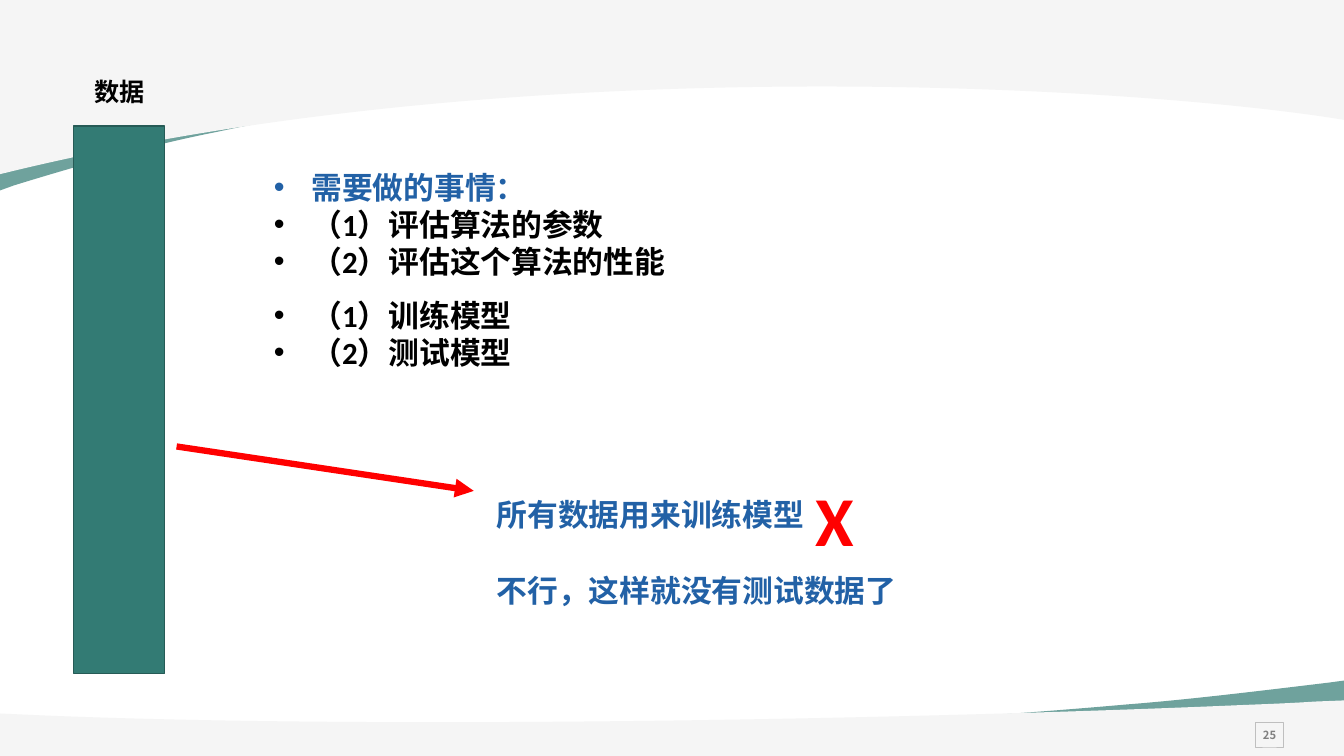
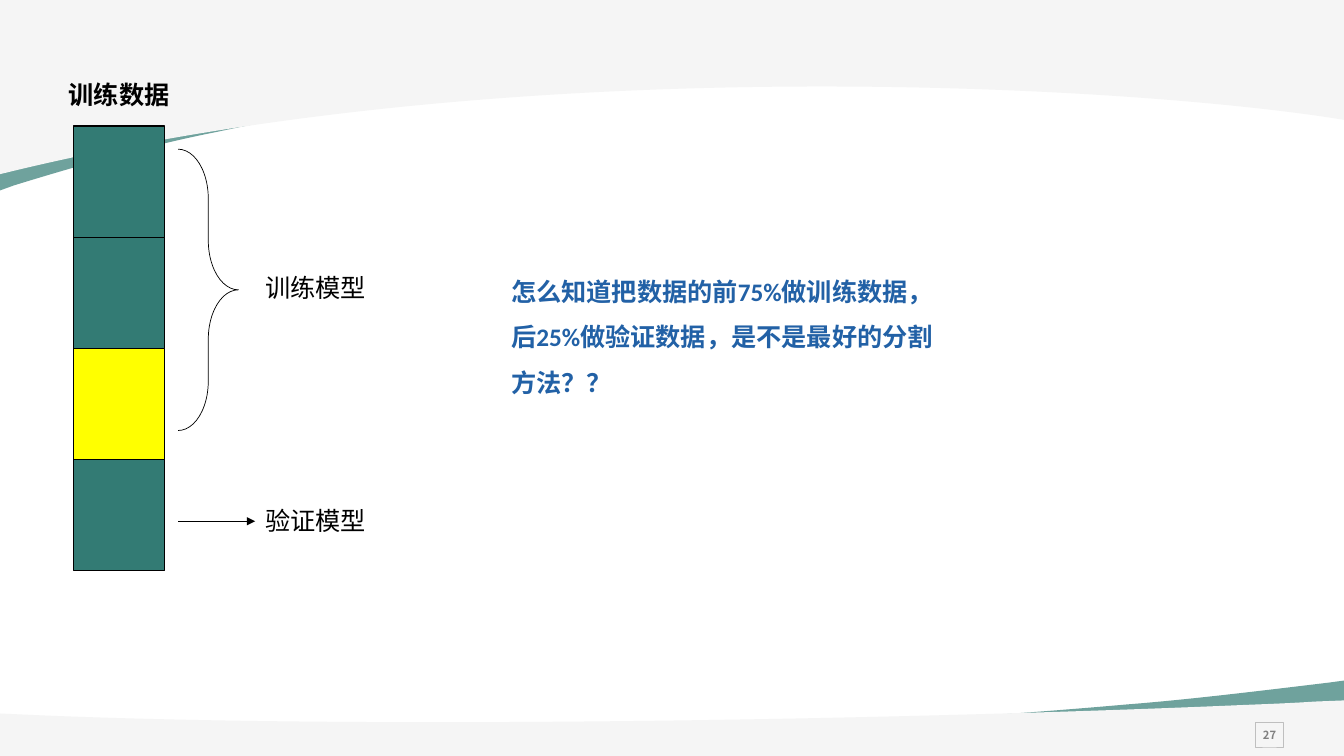
from dataclasses import dataclass

from lxml.etree import SubElement
from pptx import Presentation
from pptx.dml.color import RGBColor
from pptx.enum.shapes import MSO_CONNECTOR, MSO_SHAPE
from pptx.enum.text import MSO_ANCHOR, MSO_AUTO_SIZE, PP_ALIGN
from pptx.oxml.ns import qn
from pptx.shapes.autoshape import Shape
from pptx.shapes.connector import Connector
from pptx.slide import Slide
from pptx.text.text import _Paragraph
from pptx.util import Cm, Pt

COLORS = {
    "teal": "337B74",
    "dark_teal": "265B56",
    "band": "F5F5F5",
    "blue": "2261A6",
    "black": "000000",
    "red": "FF0000",
    "yellow": "FFFF00",
    "page_text": "808080",
    "page_border": "BFBFBF",
}
TEXT_FONT = "Calibri"
PAGE_FONT = "Noto Sans CJK SC"
SLIDE_WIDTH, SLIDE_HEIGHT = 33.87, 19.05
BAR_LEFT, BAR_TOP, BAR_WIDTH = 1.86, 3.18, 2.29
BLOCK_HEIGHT = 2.8

Point = tuple[float, float]


@dataclass(frozen=True)
class Band:
    color: str
    corners: tuple[Point, ...]
    curves: tuple[tuple[Point, Point, Point], ...]
    opacity: int = 100


@dataclass(frozen=True)
class Label:
    left: float
    top: float
    width: float
    height: float
    lines: tuple[str, ...]
    colors: tuple[str, ...] = ("blue",)
    size: int = 22
    bold: bool = True
    bulleted: bool = False
    spacing: float | None = None


BANDS = (
    Band(
        "teal",
        ((0, 4.8), (0, 0.56), (SLIDE_WIDTH, 0.56), (SLIDE_WIDTH, 2.31)),
        (
            ((26.21, 0.15), (13.06, 1.7), (5.44, 3.33)),
            ((3.91, 3.63), (2.18, 4.11), (0.36, 4.67)),
        ),
        70,
    ),
    Band(
        "band",
        ((0, 0), (SLIDE_WIDTH, 0), (SLIDE_WIDTH, 3.02)),
        (((28.96, 2.21), (13.13, 1.14), (0, 4.39)),),
    ),
    Band(
        "teal",
        ((SLIDE_WIDTH, 17.15), (SLIDE_WIDTH, 18.9), (0, 18.9), (0, 18.16), (0.03, 18.19)),
        (
            ((7.65, 19.05), (20.83, 18.42), (28.42, 17.75)),
            ((29.95, 17.63), (31.67, 17.42), (33.5, 17.2)),
        ),
        70,
    ),
    Band(
        "band",
        ((SLIDE_WIDTH, 17.65), (SLIDE_WIDTH, SLIDE_HEIGHT), (0, SLIDE_HEIGHT), (0, 17.98), (1.12, 18.03)),
        (
            ((9.96, 18.39), (23.11, 18.11), (30.99, 17.78)),
            ((31.65, 17.75), (32.39, 17.73), (33.12, 17.68)),
        ),
    ),
)

ALL_DATA_LABELS = (
    Label(2.14, 1.81, 3.5, 1.03, ("数据",), ("black",), 18),
    Label(12.27, 12.37, 15.57, 1.19, ("所有数据用来训练模型",)),
    Label(6.65, 7.35, 15.57, 2.13, ("（1）训练模型", "（2）测试模型"), ("black", "black"), bulleted=True),
    Label(
        6.65, 4.13, 15.57, 3.07,
        ("需要做的事情：", "（1）评估算法的参数", "（2）评估这个算法的性能"),
        ("blue", "black", "black"),
        bulleted=True,
    ),
    Label(20.29, 11.89, 1.93, 2.39, ("X",), ("red",), 50),
    Label(12.27, 14.29, 15.57, 1.19, ("不行，这样就没有测试数据了",)),
)

SPLIT_LABELS = (
    Label(1.48, 1.88, 3.5, 1.03, ("训练数据",), ("black",), 18),
    Label(6.43, 6.73, 5.77, 1.03, ("训练模型",), ("black",), 18, bold=False),
    Label(
        12.63, 6.46, 11.18, 3.71,
        ("怎么知道把数据的前75%做训练数据，后25%做验证数据，是不是最好的分割方法？？",),
        size=18,
        spacing=1.5,
    ),
)
VALIDATION = Label(6.43, 12.62, 5.77, 1.03, ("验证模型",), ("black",), 18, bold=False)


def rgb(color: str) -> RGBColor:
    return RGBColor.from_string(COLORS[color])


def style_paragraph(paragraph: _Paragraph, font_name: str, size: int, color: str, bold: bool) -> None:
    font = paragraph.font
    font.name, font.size, font.bold = font_name, Pt(size), bold
    font.color.rgb = rgb(color)
    defaults = paragraph._p.get_or_add_pPr().find(qn("a:defRPr"))
    SubElement(defaults, qn("a:ea")).set("typeface", font_name)


def add_bullet(paragraph: _Paragraph) -> None:
    properties = paragraph._p.get_or_add_pPr()
    properties.set("marL", str(Cm(0.95)))
    properties.set("indent", str(-Cm(0.95)))
    SubElement(properties, qn("a:buFont")).set("typeface", "Arial")
    SubElement(properties, qn("a:buChar")).set("char", "•")


def add_label(slide: Slide, label: Label) -> Shape:
    box = slide.shapes.add_textbox(Cm(label.left), Cm(label.top), Cm(label.width), Cm(label.height))
    frame = box.text_frame
    frame.word_wrap = True
    frame.auto_size = MSO_AUTO_SIZE.SHAPE_TO_FIT_TEXT
    frame.text = "\n".join(label.lines)
    for paragraph, color in zip(frame.paragraphs, label.colors):
        if label.spacing:
            paragraph.line_spacing = label.spacing
        if label.bulleted:
            add_bullet(paragraph)
        style_paragraph(paragraph, TEXT_FONT, label.size, color, label.bold)
    return box


def add_outlined(
    slide: Slide, kind: MSO_SHAPE, left: float, top: float, width: float, height: float,
    fill: str | None, border: str, weight: float,
) -> Shape:
    shape = slide.shapes.add_shape(kind, Cm(left), Cm(top), Cm(width), Cm(height))
    shape.shadow.inherit = False
    if fill:
        shape.fill.solid()
        shape.fill.fore_color.rgb = rgb(fill)
    else:
        shape.fill.background()
    shape.line.color.rgb = rgb(border)
    shape.line.width = Pt(weight)
    return shape


def add_arrow(slide: Slide, start: Point, end: Point, color: str, weight: float) -> Connector:
    arrow = slide.shapes.add_connector(
        MSO_CONNECTOR.STRAIGHT, Cm(start[0]), Cm(start[1]), Cm(end[0]), Cm(end[1])
    )
    arrow.line.color.rgb = rgb(color)
    arrow.line.width = Pt(weight)
    SubElement(arrow.line._get_or_add_ln(), qn("a:tailEnd")).set("type", "triangle")
    SubElement(arrow._element.spPr, qn("a:effectLst"))
    return arrow


def bend_last_segments(shape: Shape, band: Band) -> None:
    segments = list(shape._element.iter(qn("a:lnTo")))
    first_curve = len(band.corners) - 1
    for segment, curve in zip(segments[first_curve:], band.curves):
        bend = segment.makeelement(qn("a:cubicBezTo"))
        for x, y in curve:
            point = SubElement(bend, qn("a:pt"))
            point.set("x", str(Cm(x) - shape.left))
            point.set("y", str(Cm(y) - shape.top))
        segment.getparent().replace(segment, bend)


def add_band(slide: Slide, band: Band) -> None:
    ends = tuple(curve[-1] for curve in band.curves)
    start, *others = [(Cm(x), Cm(y)) for x, y in band.corners + ends]
    builder = slide.shapes.build_freeform(*start)
    builder.add_line_segments(others, close=True)
    shape = builder.convert_to_shape()
    bend_last_segments(shape, band)
    shape.shadow.inherit = False
    shape.line.fill.background()
    shape.fill.solid()
    shape.fill.fore_color.rgb = rgb(band.color)
    if band.opacity < 100:
        fill_color = shape._element.spPr.find(qn("a:solidFill")).find(qn("a:srgbClr"))
        SubElement(fill_color, qn("a:alpha")).set("val", str(band.opacity * 1000))


def add_page_number(slide: Slide, number: int) -> None:
    box = add_outlined(slide, MSO_SHAPE.RECTANGLE, 31.64, 18.21, 0.71, 0.64, None, "page_border", 0.75)
    frame = box.text_frame
    frame.word_wrap = False
    frame.vertical_anchor = MSO_ANCHOR.MIDDLE
    frame.margin_left = frame.margin_right = frame.margin_top = frame.margin_bottom = Cm(0.2)
    frame.text = str(number)
    paragraph = frame.paragraphs[0]
    paragraph.alignment = PP_ALIGN.CENTER
    style_paragraph(paragraph, PAGE_FONT, 8, "page_text", True)


def add_base_slide(deck: Presentation, number: int, labels: tuple[Label, ...]) -> Slide:
    slide = deck.slides.add_slide(deck.slide_layouts[6])
    for band in BANDS:
        add_band(slide, band)
    add_page_number(slide, number)
    for label in labels:
        add_label(slide, label)
    return slide


def build_all_data(deck: Presentation) -> None:
    slide = add_base_slide(deck, 25, ALL_DATA_LABELS)
    add_outlined(slide, MSO_SHAPE.RECTANGLE, BAR_LEFT, BAR_TOP, BAR_WIDTH, 13.79, "teal", "dark_teal", 1)
    add_arrow(slide, (4.45, 11.25), (11.94, 12.37), "red", 4.5)


def build_split(deck: Presentation) -> None:
    slide = add_base_slide(deck, 27, SPLIT_LABELS)
    for index, color in enumerate(("teal", "teal", "yellow", "teal")):
        top = BAR_TOP + index * BLOCK_HEIGHT
        add_outlined(
            slide, MSO_SHAPE.RECTANGLE, BAR_LEFT, top, BAR_WIDTH, BLOCK_HEIGHT, color, "black", 1
        )
    brace = add_outlined(slide, MSO_SHAPE.RIGHT_BRACE, 4.49, 3.76, 1.52, 7.09, None, "black", 0.5)
    brace.adjustments[0] = 0.82
    validation = add_label(slide, VALIDATION)
    middle = VALIDATION.top + VALIDATION.height / 2
    arrow = add_arrow(slide, (4.49, middle), (VALIDATION.left, middle), "black", 0.5)
    arrow.end_connect(validation, 1)


def main() -> None:
    deck = Presentation()
    deck.slide_width, deck.slide_height = Cm(SLIDE_WIDTH), Cm(SLIDE_HEIGHT)
    build_all_data(deck)
    build_split(deck)
    deck.save("out.pptx")


if __name__ == "__main__":
    main()
